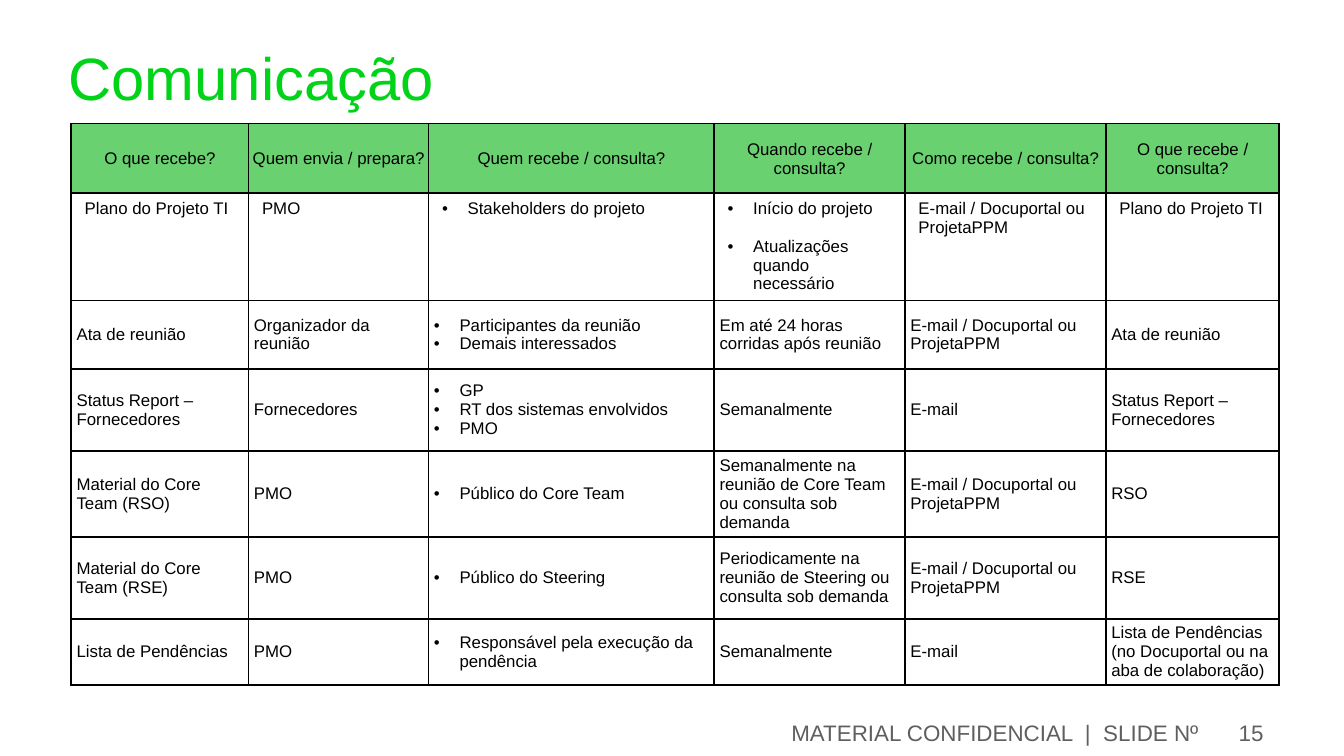
from lxml import etree
from pptx import Presentation
from pptx.dml.color import RGBColor
from pptx.enum.text import MSO_ANCHOR, PP_ALIGN
from pptx.oxml.ns import qn
from pptx.util import Inches, Pt

TOP, MIDDLE = MSO_ANCHOR.TOP, MSO_ANCHOR.MIDDLE
LEFT, CENTER, RIGHT = PP_ALIGN.LEFT, PP_ALIGN.CENTER, PP_ALIGN.RIGHT
FONT = "Arial"
COLORS = {
    "title": "00D318",
    "header": "69D170",
    "text": "000000",
    "footer": "5F5F5F",
}
WIDTH = Inches(10)
HEIGHT = WIDTH * 9 // 16
COLUMN_PERCENTS = [13.2, 13.4, 21.25, 14.2, 14.95, 12.9]
ROW_PERCENTS = [9.15, 10.5, 9.07, 10.84, 10.84, 10.84, 8.18]
NO_INSETS = (0, 0, 0, 0)
HEADER_INSETS = (0.01, 0.01, 0.01, 0)
FOOTER_INSETS = (0.1, 0.05, 0.1, 0.05)
FIRST_INSETS = (0.1, 0.05, 0.1, 0.01)
BODY_INSETS = (0.04, 0.02, 0.04, 0.02)
TOOLS = "E-mail / Docuportal ou ProjetaPPM"

HEADERS = [
    "O que recebe?",
    "Quem envia / prepara?",
    "Quem recebe / consulta?",
    "Quando recebe / consulta?",
    "Como recebe / consulta?",
    "O que recebe / consulta?",
]
ROWS = [
    ["Plano do Projeto TI", "PMO", ["Stakeholders do projeto"],
     ["Início do projeto", "Atualizações quando necessário"],
     TOOLS, "Plano do Projeto TI"],
    ["Ata de reunião", "Organizador da reunião",
     ["Participantes da reunião", "Demais interessados"],
     "Em até 24 horas corridas após reunião", TOOLS, "Ata de reunião"],
    ["Status Report –Fornecedores", "Fornecedores",
     ["GP", "RT dos sistemas envolvidos", "PMO"],
     "Semanalmente", "E-mail", "Status Report – Fornecedores"],
    ["Material do Core Team (RSO)", "PMO", ["Público do Core Team"],
     "Semanalmente na reunião de Core Team ou consulta sob demanda",
     TOOLS, "RSO"],
    ["Material do Core Team (RSE)", "PMO", ["Público do Steering"],
     "Periodicamente na reunião de Steering ou consulta sob demanda",
     TOOLS, "RSE"],
    ["Lista de Pendências", "PMO",
     ["Responsável pela execução da pendência"],
     "Semanalmente", "E-mail",
     "Lista de Pendências (no Docuportal ou na aba de colaboração)"],
]


def across(percent):
    return round(WIDTH * percent / 100)


def down(percent):
    return round(HEIGHT * percent / 100)


def set_insets(holder, insets):
    left, top, right, bottom = (Inches(inset) for inset in insets)
    holder.margin_left, holder.margin_top = left, top
    holder.margin_right, holder.margin_bottom = right, bottom


def add_span(para, text, size, color):
    span = para.add_run()
    span.text = text
    span.font.name = FONT
    span.font.size = Pt(size)
    span.font.color.rgb = RGBColor.from_string(COLORS[color])


def add_text(page, area, text, size, color, align, anchor, insets):
    left, top, width, height = area
    box = page.shapes.add_textbox(across(left), down(top), across(width), down(height))
    frame = box.text_frame
    frame.word_wrap = True
    frame.vertical_anchor = anchor
    set_insets(frame, insets)
    para = frame.paragraphs[0]
    para.alignment = align
    add_span(para, text, size, color)


def add_bullet(para):
    properties = para._p.get_or_add_pPr()
    indent = Inches(0.19)
    properties.set("marL", str(indent))
    properties.set("indent", str(-indent))
    etree.SubElement(properties, qn("a:buFont"), typeface=FONT)
    etree.SubElement(properties, qn("a:buChar"), char="•")


def add_borders(cell):
    properties = cell._tc.get_or_add_tcPr()
    for side in ("lnL", "lnR", "lnT", "lnB"):
        line = etree.SubElement(properties, qn("a:" + side), w=str(Pt(1)))
        fill = etree.SubElement(line, qn("a:solidFill"))
        etree.SubElement(fill, qn("a:srgbClr"), val=COLORS["text"])


def fill_cell(cell, content, insets, anchor, align=LEFT, fill=None, gap=0):
    add_borders(cell)
    set_insets(cell, insets)
    cell.vertical_anchor = anchor
    if fill:
        cell.fill.solid()
        cell.fill.fore_color.rgb = RGBColor.from_string(COLORS[fill])
    else:
        cell.fill.background()
    bulleted = isinstance(content, list)
    frame = cell.text_frame
    for index, text in enumerate(content if bulleted else [content]):
        para = frame.add_paragraph() if index else frame.paragraphs[0]
        if bulleted:
            add_bullet(para)
        para.alignment = align
        if index and gap:
            para.space_before = Pt(gap)
        add_span(para, text, 9, "text")


def add_communication_table(page):
    frame = page.shapes.add_table(
        len(ROW_PERCENTS), len(COLUMN_PERCENTS), across(5.3), down(16.36),
        across(sum(COLUMN_PERCENTS)), down(sum(ROW_PERCENTS)))
    table = frame.table
    table.first_row = False
    table.horz_banding = False
    for column, percent in zip(table.columns, COLUMN_PERCENTS):
        column.width = across(percent)
    for row, percent in zip(table.rows, ROW_PERCENTS):
        row.height = down(percent)
    for column, text in enumerate(HEADERS):
        fill_cell(table.cell(0, column), text, HEADER_INSETS, MIDDLE, CENTER, "header")
    for row, contents in enumerate(ROWS, 1):
        insets, anchor = (FIRST_INSETS, TOP) if row == 1 else (BODY_INSETS, MIDDLE)
        gap = 10 if row == 1 else 0
        for column, content in enumerate(contents):
            fill_cell(table.cell(row, column), content, insets, anchor, gap=gap)


def add_footer(page):
    for left, width, text in (
        (5, 85.2, "MATERIAL CONFIDENCIAL  |  SLIDE Nº"),
        (90.2, 4.8, "15"),
    ):
        add_text(page, (left, 94.84, width, 4.27), text, 12, "footer",
                 RIGHT, MIDDLE, FOOTER_INSETS)


def main():
    deck = Presentation()
    deck.slide_width, deck.slide_height = WIDTH, HEIGHT
    page = deck.slides.add_slide(deck.slide_layouts[6])
    add_text(page, (5.1, 5.33, 89.8, 13.87), "Comunicação", 32, "title",
             LEFT, TOP, NO_INSETS)
    add_footer(page)
    add_communication_table(page)
    deck.save("out.pptx")


if __name__ == "__main__":
    main()
